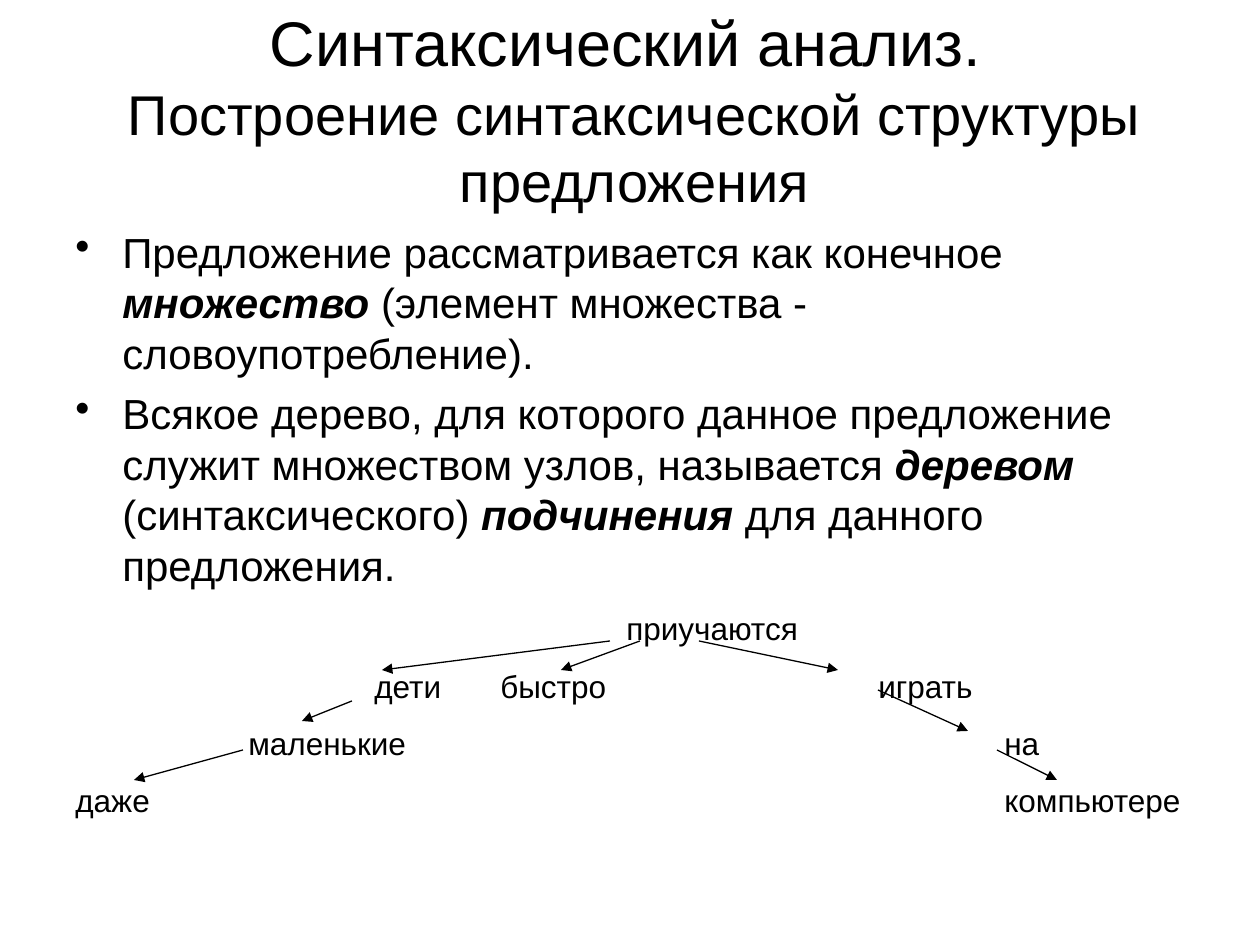
from dataclasses import dataclass

from lxml import etree
from pptx import Presentation
from pptx.dml.color import RGBColor
from pptx.enum.shapes import MSO_CONNECTOR
from pptx.enum.text import MSO_ANCHOR, PP_ALIGN
from pptx.oxml.ns import qn
from pptx.util import Emu, Pt

STRAIGHT = MSO_CONNECTOR.STRAIGHT
MIDDLE, TOP = MSO_ANCHOR.MIDDLE, MSO_ANCHOR.TOP
CENTER, LEFT = PP_ALIGN.CENTER, PP_ALIGN.LEFT
BLANK_LAYOUT = 6
PX = 914400 // 126


@dataclass(frozen=True)
class Theme:
    font: str = "Arial"
    ink: RGBColor = RGBColor(0, 0, 0)
    title: int = 36
    subtitle: int = 32
    body: int = 24
    tree: int = 18
    line: float = 0.75
    body_gap: float = 6
    tree_gap: float = 11.2


THEME = Theme()
EMPHASIS = {"bold": True, "italic": True}
PLAIN = {}

# Content
SLIDE_SIZE = (1260, 945)
TITLE_BOX = (39, 0, 1191, 217)
BODY_BOX = (63, 220, 1134, 624)

TITLE = "Синтаксический анализ. "
SUBTITLE = "Построение синтаксической структуры предложения"

BULLETS = [
    [("Предложение рассматривается как конечное ", PLAIN),
     ("множество", EMPHASIS),
     (" (элемент множества - словоупотребление).", PLAIN)],
    [("Всякое дерево, для которого данное предложение служит множеством узлов, "
      "называется ", PLAIN),
     ("деревом ", EMPHASIS),
     ("(синтаксического)", PLAIN),
     (" подчинения", EMPHASIS),
     (" для данного предложения.", PLAIN)],
]

# Each tree level: (column, word); column 0 is the left margin
TREE_LEVELS = [
    [(5, "приучаются")],
    [(3, "дети"), (4, "быстро"), (7, "играть")],
    [(2, "маленькие"), (8, "на")],
    [(0, "даже"), (8, "компьютере")],
]
BULLET_INDENT = 47
COLUMN_STEP = 126

# Arrows from head word to dependent word: (x1, y1, x2, y2)
ARROWS = [
    (610, 641, 382, 670),
    (640, 641, 561, 670),
    (699, 641, 838, 670),
    (352, 701, 302, 721),
    (243, 750, 134, 780),
    (878, 690, 968, 731),
    (997, 750, 1057, 780),
]


def px(*lengths):
    return [Emu(length * PX) for length in lengths]


def add_text_frame(slide, box, anchor):
    frame = slide.shapes.add_textbox(*px(*box)).text_frame
    frame.word_wrap = True
    frame.vertical_anchor = anchor
    return frame


def add_run(paragraph, text, size, style=PLAIN):
    run = paragraph.add_run()
    run.text = text
    run.font.color.rgb = THEME.ink
    for name, value in {"name": THEME.font, "size": Pt(size), **style}.items():
        setattr(run.font, name, value)


def add_bullet(paragraph):
    properties = paragraph._p.get_or_add_pPr()
    indent = BULLET_INDENT * PX
    properties.set("marL", str(indent))
    properties.set("indent", str(-indent))
    etree.SubElement(properties, qn("a:buChar")).set("char", "•")


def add_tab_stops(paragraph, columns):
    properties = paragraph._p.get_or_add_pPr()
    tabs = etree.SubElement(properties, qn("a:tabLst"))
    for column in columns:
        position = (BULLET_INDENT + (column - 1) * COLUMN_STEP) * PX
        stop = etree.SubElement(tabs, qn("a:tab"))
        stop.set("pos", str(position))
        stop.set("algn", "l")


def add_title(slide):
    paragraph = add_text_frame(slide, TITLE_BOX, MIDDLE).paragraphs[0]
    paragraph.alignment = CENTER
    add_run(paragraph, TITLE, THEME.title)
    paragraph.add_line_break()
    add_run(paragraph, SUBTITLE, THEME.subtitle)


def add_body(slide):
    frame = add_text_frame(slide, BODY_BOX, TOP)
    paragraph = frame.paragraphs[0]
    for index, runs in enumerate(BULLETS):
        if index:
            paragraph = frame.add_paragraph()
        paragraph.alignment = LEFT
        paragraph.space_before = Pt(THEME.body_gap)
        add_bullet(paragraph)
        for text, style in runs:
            add_run(paragraph, text, THEME.body, style)

    # Tree words, one tab stop for each indented word
    for level in TREE_LEVELS:
        paragraph = frame.add_paragraph()
        paragraph.alignment = LEFT
        paragraph.space_before = Pt(THEME.tree_gap)
        add_tab_stops(paragraph, [column for column, _ in level if column])
        text = "".join(("\t" if column else "") + word for column, word in level)
        add_run(paragraph, text, THEME.tree)


def add_arrow(slide, points):
    arrow = slide.shapes.add_connector(STRAIGHT, *px(*points))
    arrow.line.color.rgb = THEME.ink
    arrow.line.width = Pt(THEME.line)
    etree.SubElement(arrow.line._get_or_add_ln(), qn("a:tailEnd")).set("type", "triangle")
    etree.SubElement(arrow._element.spPr, qn("a:effectLst"))


def main():
    presentation = Presentation()
    presentation.slide_width, presentation.slide_height = px(*SLIDE_SIZE)
    slide = presentation.slides.add_slide(presentation.slide_layouts[BLANK_LAYOUT])
    add_title(slide)
    add_body(slide)
    for points in ARROWS:
        add_arrow(slide, points)
    presentation.save("out.pptx")


if __name__ == "__main__":
    main()
